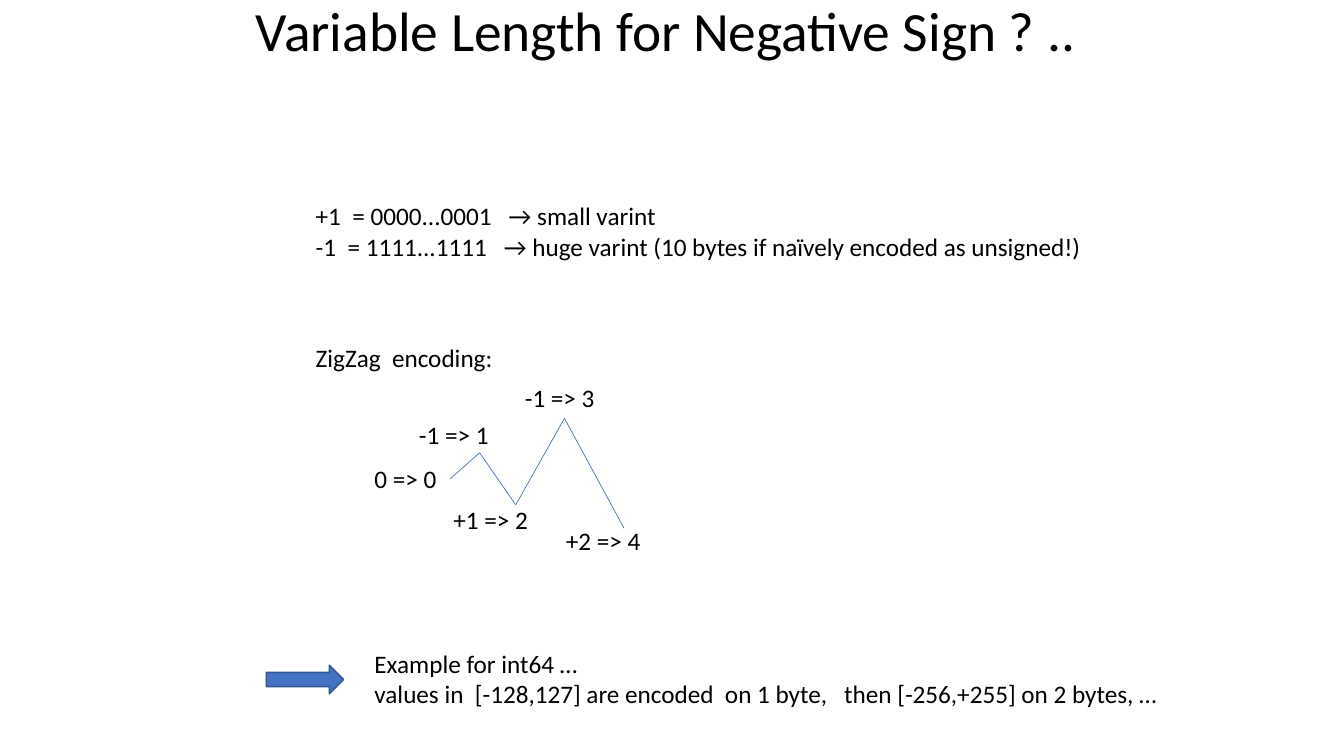
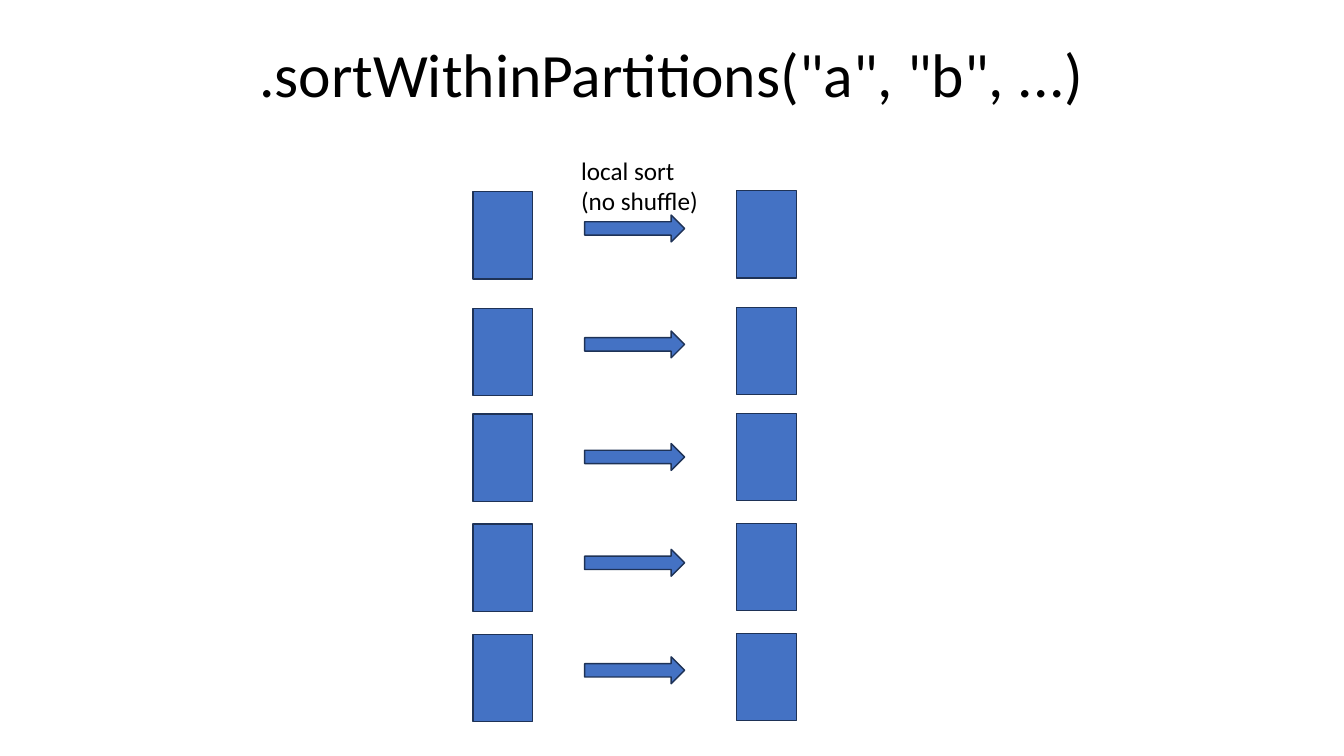
import pptx
import pptx.dml.color
import pptx.enum.shapes
import pptx.enum.text
import pptx.oxml
import pptx.util

# Shared look: a square grid of 160 columns by 90 rows
COLUMNS, ROWS = 160, 90
CELL = pptx.util.Inches(1 / 12)
FONT = "Calibri"
BLACK, BLUE = "000000", "4472C4"
SOFT_EDGE, DARK_EDGE = "325491", "1E3256"
BODY_SIZE = 18
LABEL_SIZE = (11.8, 4.8)
RECTANGLE = pptx.enum.shapes.MSO_SHAPE.RECTANGLE
RIGHT_ARROW = pptx.enum.shapes.MSO_SHAPE.RIGHT_ARROW


def color(hex_string):
    return pptx.dml.color.RGBColor.from_string(hex_string)


def place_text(shape, grid_box, lines, size):
    shape.left, shape.top, shape.width, shape.height = (round(cells * CELL) for cells in grid_box)
    frame = shape.text_frame
    frame.word_wrap = True
    frame.auto_size = pptx.enum.text.MSO_AUTO_SIZE.NONE
    for index, line in enumerate(lines):
        paragraph = frame.add_paragraph() if index else frame.paragraphs[0]
        run = paragraph.add_run()
        run.text = line
        run.font.name = FONT
        run.font.size = pptx.util.Pt(size)
        run.font.color.rgb = color(BLACK)


presentation = pptx.Presentation()
presentation.slide_width = COLUMNS * CELL
presentation.slide_height = ROWS * CELL

# Slides with their titles
titles = [
    ("Variable Length for Negative Sign ? .. ", 0, 7.9, 39.6),
    ('.sortWithinPartitions("a", "b", ...)', 0.5, 17.4, 44),
]
slides = []
for title, top, height, size in titles:
    slide = presentation.slides.add_slide(presentation.slide_layouts[5])
    place_text(slide.shapes.title, (11, top, 138, height), [title], size)
    slide.shapes.title.text_frame.vertical_anchor = pptx.enum.text.MSO_ANCHOR.MIDDLE
    paragraph = slide.shapes.title.text_frame.paragraphs[0]
    paragraph.alignment = pptx.enum.text.PP_ALIGN.CENTER
    paragraph.line_spacing = 0.9
    slides.append(slide)
varint_slide, sort_slide = slides

# Zigzag line
zigzag_points = [(53.6, 57), (57.1, 53.9), (61.4, 60.1), (67.2, 49.8), (74.3, 62.9)]
for start, end in zip(zigzag_points, zigzag_points[1:]):
    connector = varint_slide.shapes.add_connector(
        pptx.enum.shapes.MSO_CONNECTOR.STRAIGHT,
        *(round(cells * CELL) for cells in start + end))
    connector.line.color.rgb = color(BLUE)
    connector.line.width = pptx.util.Pt(0.5)
    properties = connector._element.spPr
    properties.append(pptx.oxml.parse_xml(
        '<a:effectLst xmlns:a="http://schemas.openxmlformats.org/drawingml/2006/main"/>'))

# Arrow to the example, then one row per partition: block, arrow, sorted block
shapes = [(varint_slide, RIGHT_ARROW, (31.7, 79.2, 9.2, 3.4), SOFT_EDGE)]
partition_rows = [(22.8, 25.6), (36.7, 39.4), (49.3, 52.8), (62.4, 65.4), (75.5, 78.2)]
for block_top, arrow_top in partition_rows:
    shapes += [
        (sort_slide, RECTANGLE, (56.3, block_top, 7.1, 10.4), DARK_EDGE),
        (sort_slide, RIGHT_ARROW, (69.6, arrow_top, 11.9, 3.2), DARK_EDGE),
        (sort_slide, RECTANGLE, (87.7, block_top - 0.1, 7.1, 10.4), DARK_EDGE),
    ]
for slide, kind, grid_box, edge in shapes:
    shape = slide.shapes.add_shape(kind, *(round(cells * CELL) for cells in grid_box))
    shape.shadow.inherit = False
    shape.fill.solid()
    shape.fill.fore_color.rgb = color(BLUE)
    shape.line.color.rgb = color(edge)
    shape.line.width = pptx.util.Pt(1)

# Body texts and zigzag labels
texts = [
    (varint_slide, (36.4, 23.3, 111, 8.5), [
        "+1  = 0000...0001   → small varint",
        "-1  = 1111...1111   → huge varint (10 bytes if naïvely encoded as unsigned!)"]),
    (varint_slide, (36.4, 40.2, 24.5, 4.8), ["ZigZag  encoding:"]),
    (varint_slide, (43.4, 54.6, *LABEL_SIZE), ["0 => 0"]),
    (varint_slide, (48.7, 49.3, *LABEL_SIZE), ["-1 => 1"]),
    (varint_slide, (52.8, 59.5, *LABEL_SIZE), ["+1 => 2"]),
    (varint_slide, (61.3, 44.9, *LABEL_SIZE), ["-1 => 3"]),
    (varint_slide, (66.2, 61.9, *LABEL_SIZE), ["+2 => 4"]),
    (varint_slide, (43.4, 76.6, 107, 8.5), [
        "Example for int64 …",
        "values in  [-128,127] are encoded  on 1 byte,   then [-256,+255] on 2 bytes, …"]),
    (sort_slide, (68, 17.9, 18, 8.5), ["local sort", "(no shuffle)"]),
]
for slide, grid_box, lines in texts:
    place_text(slide.shapes.add_textbox(0, 0, 0, 0), grid_box, lines, BODY_SIZE)

presentation.save("out.pptx")
